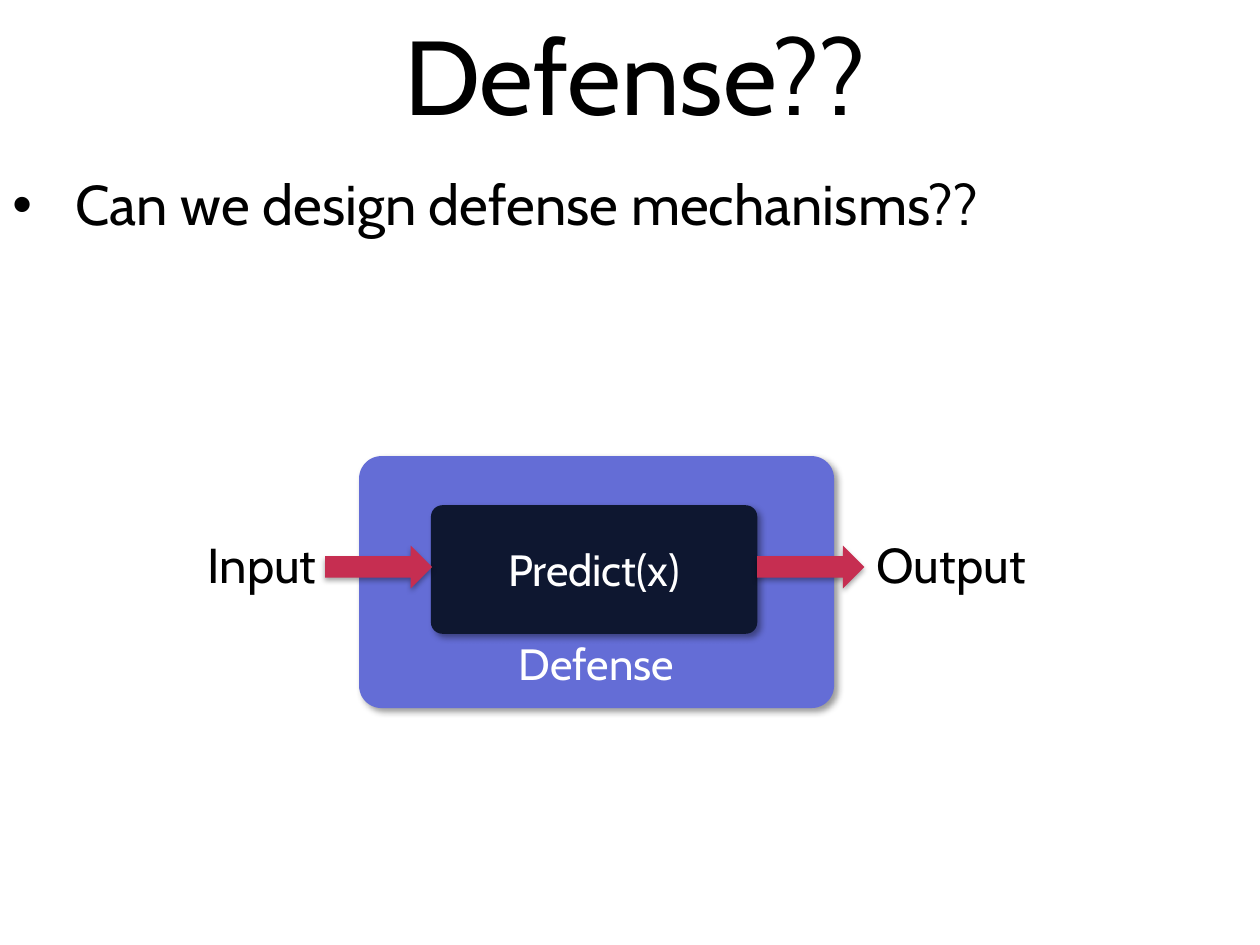
import lxml.etree
import pptx
import pptx.dml.color
import pptx.enum.shapes
import pptx.enum.text
import pptx.oxml.ns
import pptx.util
from pptx.util import Inches

SHAPES = pptx.enum.shapes.MSO_SHAPE
ALIGN = pptx.enum.text.PP_ALIGN
ANCHOR = pptx.enum.text.MSO_ANCHOR
qn = pptx.oxml.ns.qn


def write(shape, text, size=28, color="000000", align=ALIGN.LEFT, anchor=ANCHOR.TOP, bullet=False):
    frame = shape.text_frame
    frame.word_wrap = True
    frame.vertical_anchor = anchor
    paragraph = frame.paragraphs[0]
    paragraph.alignment = align
    if bullet:
        properties = paragraph._p.get_or_add_pPr()
        properties.set("marL", str(Inches(0.5)))
        properties.set("indent", str(Inches(-0.5)))
        lxml.etree.SubElement(properties, qn("a:buFont"), typeface="Arial")
        lxml.etree.SubElement(properties, qn("a:buChar"), char="•")
    run = paragraph.add_run()
    run.text = text
    run.font.name = "Cabin"
    run.font.size = pptx.util.Pt(size)
    run.font.color.rgb = pptx.dml.color.RGBColor.from_string(color)


def add_block(kind, left, top, width, height, fill, opacity=40, blur=4, distance=3, angle=45):
    shape = slide.shapes.add_shape(kind, Inches(left), Inches(top), Inches(width), Inches(height))
    shape.fill.solid()
    shape.fill.fore_color.rgb = pptx.dml.color.RGBColor.from_string(fill)
    shape.line.fill.background()
    # Replace the theme shadow with an explicit one
    shape.shadow.inherit = False
    effects = shape._element.spPr.find(qn("a:effectLst"))
    shadow = lxml.etree.SubElement(
        effects, qn("a:outerShdw"), blurRad=str(pptx.util.Pt(blur)), dist=str(pptx.util.Pt(distance)),
        dir=str(angle * 60000), algn="ctr", rotWithShape="0")
    shadow_color = lxml.etree.SubElement(shadow, qn("a:srgbClr"), val="000000")
    lxml.etree.SubElement(shadow_color, qn("a:alpha"), val=str(opacity * 1000))
    return shape


presentation = pptx.Presentation()
presentation.slide_width = Inches(10)
presentation.slide_height = Inches(7.5)
slide = presentation.slides.add_slide(presentation.slide_layouts[6])

# Defense layer around the predictor
defense = add_block(SHAPES.ROUNDED_RECTANGLE, 2.85, 3.62, 3.77, 2, "646DD6")
predictor = add_block(SHAPES.ROUNDED_RECTANGLE, 3.42, 4.01, 2.59, 1.02, "0E1730")
for block, label, anchor in [(defense, "Defense", ANCHOR.BOTTOM), (predictor, "Predict(x)", ANCHOR.MIDDLE)]:
    block.adjustments[0] = 0.089
    write(block, label, size=25, color="FFFFFF", align=ALIGN.CENTER, anchor=anchor)
defense.text_frame.margin_bottom = Inches(0.1)

# Arrows into and out of the predictor
for left in (2.58, 6.01):
    add_block(SHAPES.RIGHT_ARROW, left, 4.33, 0.85, 0.34, "C62E51",
              opacity=35, blur=3.1, distance=1.8, angle=90)

# Title, question and arrow labels
for text, left, top, width, height, style in [
    ("Defense??", 0.04, -0.22, 10, 1.61, {"size": 60, "align": ALIGN.CENTER, "anchor": ANCHOR.MIDDLE}),
    ("Can we design defense mechanisms??", 0, 1.3, 10, 0.7, {"size": 32, "bullet": True}),
    ("Input", 1.55, 4.19, 1.3, 0.57, {}),
    ("Output", 6.86, 4.19, 2.23, 0.57, {}),
]:
    box = slide.shapes.add_textbox(Inches(left), Inches(top), Inches(width), Inches(height))
    write(box, text, **style)

presentation.save("out.pptx")
